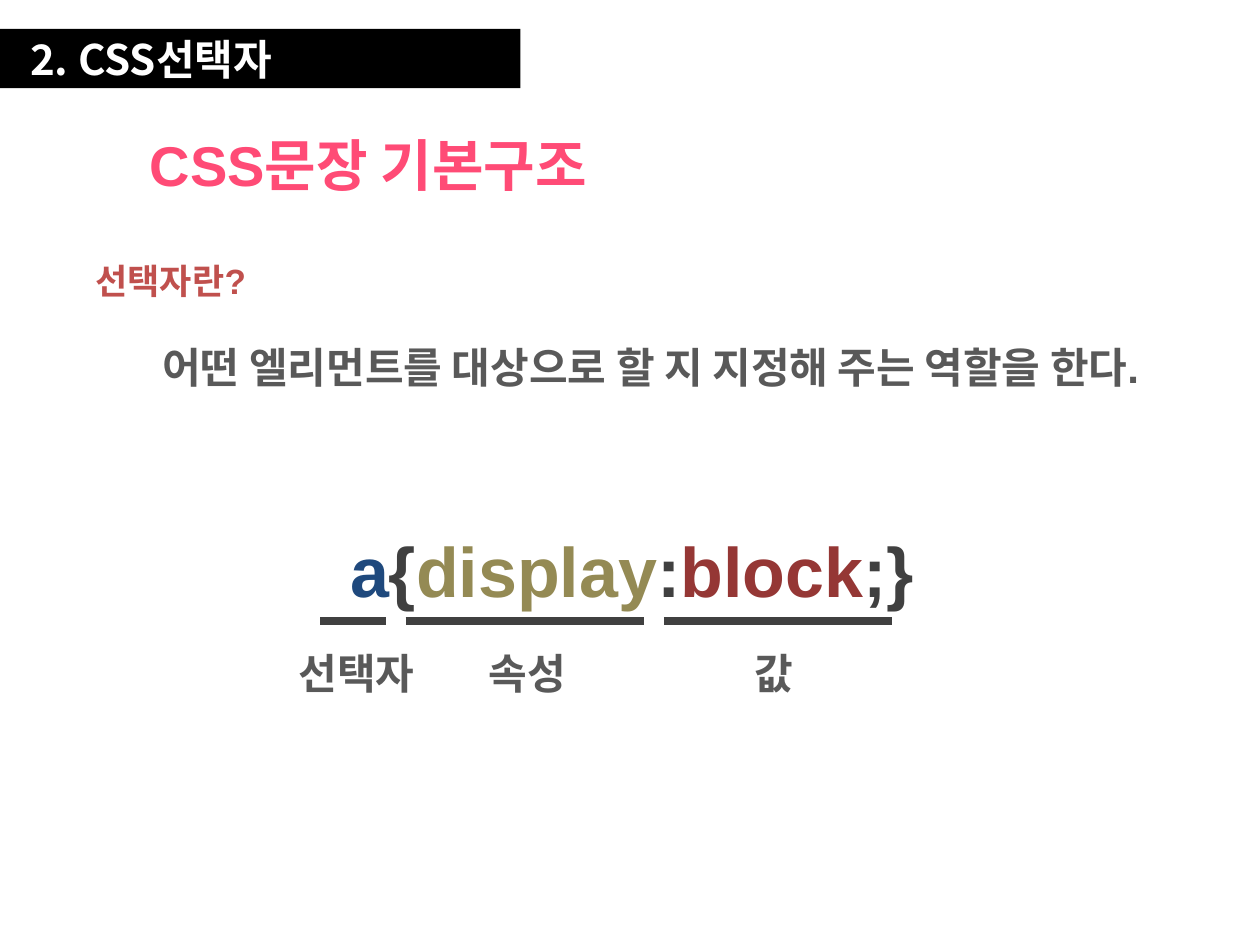
from lxml import etree
from pptx import Presentation
from pptx import util as u
from pptx.dml import color
from pptx.enum import shapes, text
from pptx.oxml import ns

COLUMNS, ROWS = 100, 75
WIDTH, HEIGHT = u.Inches(10), u.Inches(7.5)
LATIN, KOREAN = "Arial", "Noto Sans CJK KR"
DARK, GRAY = "404040", "595959"


def grid(column, row):
    """Turn a grid position or extent into slide lengths."""
    return round(WIDTH * column / COLUMNS), round(HEIGHT * row / ROWS)


def paint(target, value):
    """Apply a hex colour to a fill, or to a line through its fill."""
    target.solid()
    target.fore_color.rgb = color.RGBColor.from_string(value)


def write(shape, runs, size, font=LATIN):
    """Write coloured bold runs as the single paragraph of a shape."""
    paragraph = shape.text_frame.paragraphs[0]
    paragraph.alignment = text.PP_ALIGN.LEFT
    for words, value in runs:
        run = paragraph.add_run()
        run.text = words
        run.font.size = u.Pt(size)
        run.font.bold = True
        run.font.name = font
        paint(run.font.fill, value)
        run.font._element.find(ns.qn("a:latin")).addnext(
            etree.Element(ns.qn("a:ea"), typeface=KOREAN))


def add_text(slide, place, extent, runs, size):
    """Add an unwrapped text box that fits its text."""
    box = slide.shapes.add_textbox(*grid(*place), *grid(*extent))
    box.text_frame.word_wrap = False
    box.text_frame.auto_size = text.MSO_AUTO_SIZE.SHAPE_TO_FIT_TEXT
    write(box, runs, size)


def add_banner(slide, title):
    """Add the black section banner at the left edge."""
    banner = slide.shapes.add_shape(
        shapes.MSO_SHAPE.RECTANGLE, *grid(0, 2.3), *grid(41.3, 4.7))
    banner.shadow.inherit = False
    paint(banner.fill, "000000")
    banner.line.fill.background()
    frame = banner.text_frame
    frame.margin_left = grid(2.4, 0)[0]
    frame.vertical_anchor = text.MSO_ANCHOR.MIDDLE
    write(banner, [(title, "FFFFFF")], 24, font=KOREAN)


def add_underline(slide, start, end, row):
    """Draw a thick rule beneath one part of the statement."""
    line = slide.shapes.add_connector(
        shapes.MSO_CONNECTOR.STRAIGHT, *grid(start, row), *grid(end, row))
    paint(line.line.fill, DARK)
    line.line.width = u.Pt(4.5)
    etree.SubElement(line._element.spPr, ns.qn("a:effectLst"))


def main():
    """Build the slide about the structure of a CSS statement."""
    presentation = Presentation()
    presentation.slide_width, presentation.slide_height = WIDTH, HEIGHT
    slide = presentation.slides.add_slide(presentation.slide_layouts[6])

    add_banner(slide, "2. CSS선택자")
    add_text(slide, (10.9, 9.9), (38, 6.4), [("CSS문장 기본구조", "FF4B76")], 32)
    add_text(slide, (6.6, 20.1), (14.6, 4.4), [("선택자란?", "C0504D")], 20)
    add_text(slide, (11.9, 26.6), (81.7, 5),
             [("어떤 엘리먼트를 대상으로 할 지 지정해 주는 역할을 한다.", GRAY)], 24)

    statement = [("a", "1F497D"), ("{", DARK), ("display", "948A54"),
                 (":", DARK), ("block", "953735"), (";}", DARK)]
    add_text(slide, (26.8, 41.4), (46.7, 7.7), statement, 40)

    parts = [("선택자", 25.4, 30.6, 22.7, 11.2),
             ("속성", 32.2, 51.1, 37.8, 8.1),
             ("값", 52.7, 70.8, 58.9, 5)]
    for label, start, end, left, width in parts:
        add_underline(slide, start, end, 49.3)
        add_text(slide, (left, 50.9), (width, 5), [(label, GRAY)], 24)

    presentation.save("out.pptx")


if __name__ == "__main__":
    main()
